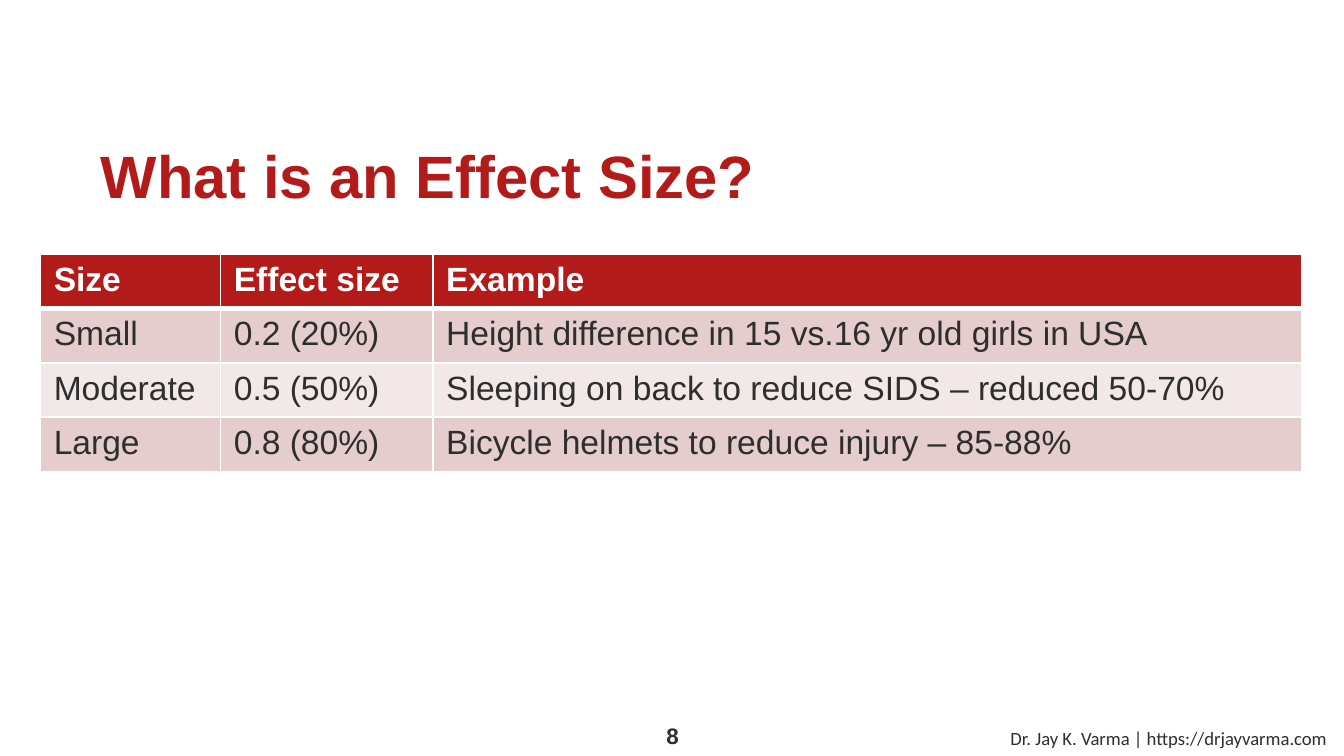
import lxml.etree
import pptx
import pptx.dml.color
import pptx.enum.text
import pptx.oxml.ns
import pptx.util

Inches = pptx.util.Inches
Pt = pptx.util.Pt
ANCHOR = pptx.enum.text.MSO_ANCHOR
ALIGN = pptx.enum.text.PP_ALIGN

COLORS = {
    "red": "B31B1B",
    "ink": "2D2E2D",
    "white": "FFFFFF",
    "band_dark": "E5CDCD",
    "band_light": "F2E8E8",
}
ROWS = [
    ("Size", "Effect size", "Example"),
    ("Small", "0.2 (20%)", "Height difference in 15 vs.16 yr old girls in USA"),
    ("Moderate", "0.5 (50%)", "Sleeping on back to reduce SIDS – reduced 50-70%"),
    ("Large", "0.8 (80%)", "Bicycle helmets to reduce injury – 85-88%"),
]
COLUMN_WIDTHS = (1.34, 1.58, 6.47)


def rgb(name):
    return pptx.dml.color.RGBColor.from_string(COLORS[name])


def write(frame, text, size=18, font="Arial", color="ink", bold=False,
          align=ALIGN.LEFT, spacing=1.0):
    para = frame.paragraphs[0]
    para.alignment = align
    para.line_spacing = spacing
    span = para.add_run()
    span.text = text
    span.font.size = Pt(size)
    span.font.name = font
    span.font.bold = bold
    span.font.color.rgb = rgb(color)


def add_title(page, left, top, width, height):
    title = page.shapes.title
    title.left, title.top = Inches(left), Inches(top)
    title.width, title.height = Inches(width), Inches(height)
    frame = title.text_frame
    frame.margin_left = frame.margin_right = 0
    frame.margin_top = frame.margin_bottom = 0
    frame.auto_size = pptx.enum.text.MSO_AUTO_SIZE.NONE
    frame.vertical_anchor = ANCHOR.MIDDLE
    write(frame, "What is an Effect Size?", size=32, color="red", bold=True,
          spacing=0.9)


def set_border(cell, side, points):
    """Draw one white cell border; side is L, R, T or B."""
    qn = pptx.oxml.ns.qn
    properties = cell._tc.get_or_add_tcPr()
    line = lxml.etree.SubElement(properties, qn("a:ln" + side), w=str(Pt(points)))
    fill = lxml.etree.SubElement(line, qn("a:solidFill"))
    lxml.etree.SubElement(fill, qn("a:srgbClr"), val=COLORS["white"])


def add_effect_table(page, left, top, width, height):
    table = page.shapes.add_table(
        len(ROWS), len(COLUMN_WIDTHS),
        Inches(left), Inches(top), Inches(width), Inches(height)).table
    for column, column_width in zip(table.columns, COLUMN_WIDTHS):
        column.width = Inches(column_width)
    for r, texts in enumerate(ROWS):
        header = r == 0
        band = "red" if header else "band_dark" if r % 2 else "band_light"
        for c, text in enumerate(texts):
            cell = table.cell(r, c)
            for side in "LRTB":
                thick = (r, side) in ((0, "B"), (1, "T"))
                set_border(cell, side, 3 if thick else 1)
            cell.fill.solid()
            cell.fill.fore_color.rgb = rgb(band)
            write(cell.text_frame, text, bold=header,
                  color="white" if header else "ink")


def add_label(page, text, left, top, width, height, anchor=ANCHOR.TOP, **style):
    box = page.shapes.add_textbox(
        Inches(left), Inches(top), Inches(width), Inches(height))
    box.text_frame.word_wrap = True
    box.text_frame.vertical_anchor = anchor
    write(box.text_frame, text, **style)


def main():
    deck = pptx.Presentation()
    deck.slide_width, deck.slide_height = Pt(720), Pt(405)
    page = deck.slides.add_slide(deck.slide_layouts[5])
    add_title(page, 0.75, 0.99, 8.33, 0.68)
    add_effect_table(page, 0.3, 1.89, sum(COLUMN_WIDTHS), 1.62)
    add_label(page, "8", 4.72, 5.32, 0.57, 0.3, anchor=ANCHOR.MIDDLE,
              size=12, bold=True, align=ALIGN.CENTER)
    add_label(page, "Dr. Jay K. Varma | https://drjayvarma.com",
              7.42, 5.36, 4.46, 0.27, size=10, font="Calibri")
    deck.save("out.pptx")


if __name__ == "__main__":
    main()
